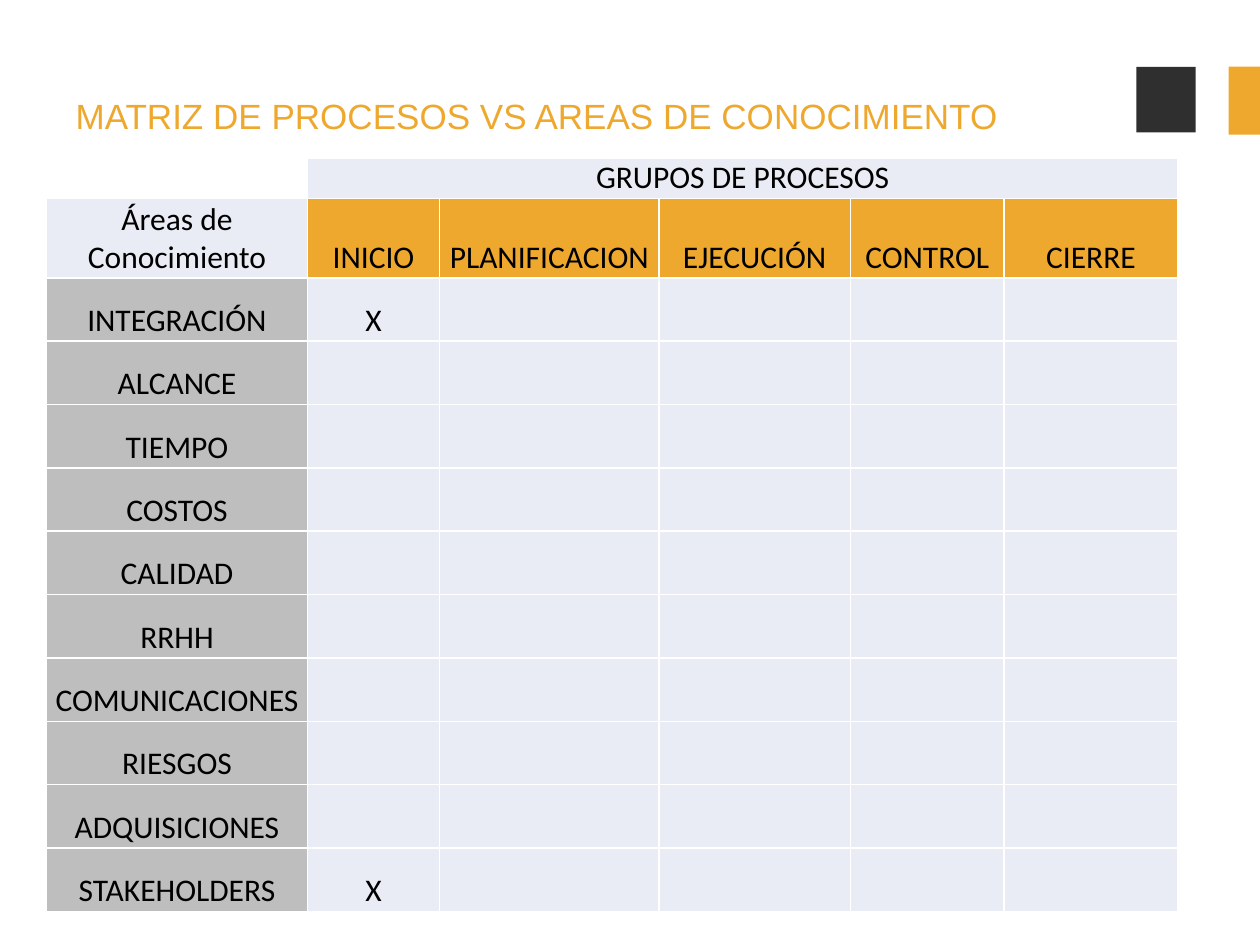
from lxml import etree
from pptx import Presentation
from pptx.dml.color import RGBColor
from pptx.enum.shapes import MSO_SHAPE
from pptx.enum.text import MSO_ANCHOR, PP_ALIGN
from pptx.oxml.ns import qn
from pptx.util import Inches, Pt

COLORS = {"accent": "EEA82E", "label": "BEBEBE", "cell": "E9ECF4",
          "logo": "2F2F2F", "text": "000000", "border": "FFFFFF"}
GROUPS = ["INICIO", "PLANIFICACION", "EJECUCIÓN", "CONTROL", "CIERRE"]
AREAS = ["INTEGRACIÓN", "ALCANCE", "TIEMPO", "COSTOS", "CALIDAD", "RRHH",
         "COMUNICACIONES", "RIESGOS", "ADQUISICIONES", "STAKEHOLDERS"]
MARKED = {("INTEGRACIÓN", "INICIO"), ("STAKEHOLDERS", "INICIO")}


def rgb(name):
    return RGBColor.from_string(COLORS[name])


def format_cell(cell, text="", fill=None):
    """Fill, text and white borders of one table cell."""
    cell.margin_left = cell.margin_right = cell.margin_top = 0
    cell.margin_bottom = Inches(0.01)
    cell.vertical_anchor = MSO_ANCHOR.BOTTOM
    cell.text = text
    for p in cell.text_frame.paragraphs:
        p.alignment = PP_ALIGN.CENTER
        p.font.size = Pt(18)
        p.font.name = "Calibri"
        p.font.color.rgb = rgb("text")
        p.line_spacing = Pt(21.6)
    tcPr = cell._tc.get_or_add_tcPr()
    for side in ("a:lnL", "a:lnR", "a:lnT", "a:lnB"):
        ln = etree.SubElement(tcPr, qn(side), w=str(Pt(1)))
        solid = etree.SubElement(ln, qn("a:solidFill"))
        etree.SubElement(solid, qn("a:srgbClr"), val=COLORS["border"])
    if fill:
        cell.fill.solid()
        cell.fill.fore_color.rgb = rgb(fill)
    else:
        cell.fill.background()


prs = Presentation()
prs.slide_width, prs.slide_height = Inches(10), Inches(7.5)
s = prs.slides.add_slide(prs.slide_layouts[5])

# Logo placeholder and accent block at the top right
for left, top, width, height, color in [(9.02, 0.53, 0.47, 0.52, "logo"),
                                        (9.75, 0.53, 0.25, 0.54, "accent")]:
    sp = s.shapes.add_shape(MSO_SHAPE.RECTANGLE, Inches(left), Inches(top),
                            Inches(width), Inches(height))
    sp.shadow.inherit = False
    sp.fill.solid()
    sp.fill.fore_color.rgb = rgb(color)
    sp.line.fill.background()

# Title
title = s.shapes.title
title.left, title.top = Inches(0.59), Inches(0.74)
title.width, title.height = Inches(7.34), Inches(0.36)
tf = title.text_frame
tf.margin_left = tf.margin_top = Inches(0.01)
tf.margin_right = tf.margin_bottom = 0
tf.vertical_anchor = MSO_ANCHOR.TOP
tf.text = "MATRIZ DE PROCESOS VS AREAS DE CONOCIMIENTO"
p = tf.paragraphs[0]
p.alignment = PP_ALIGN.LEFT
p.space_before = Pt(1)
p.font.size = Pt(20)
p.font.name = "Arial"
p.font.color.rgb = rgb("accent")

# Matrix grid
col_widths = [2.07, 1.05, 1.74, 1.52, 1.22, 1.38]
row_heights = [0.31, 0.63] + [5.03 / len(AREAS)] * len(AREAS)
frame = s.shapes.add_table(len(row_heights), len(col_widths),
                           Inches(0.37), Inches(1.26),
                           Inches(sum(col_widths)), Inches(sum(row_heights)))
table = frame.table
table.first_row = table.horz_banding = False
for column, width in zip(table.columns, col_widths):
    column.width = Inches(width)
for row, height in zip(table.rows, row_heights):
    row.height = Inches(height)

# Header rows
format_cell(table.cell(0, 0))
for c, group in enumerate(GROUPS, 1):
    format_cell(table.cell(0, c), fill="cell")
    format_cell(table.cell(1, c), group, "accent")
table.cell(0, 1).merge(table.cell(0, len(GROUPS)))
format_cell(table.cell(0, 1), "GRUPOS DE PROCESOS", "cell")
format_cell(table.cell(1, 0), "Áreas de\nConocimiento", "cell")

# One row per knowledge area
for r, area in enumerate(AREAS, 2):
    format_cell(table.cell(r, 0), area, "label")
    for c, group in enumerate(GROUPS, 1):
        format_cell(table.cell(r, c), "X" if (area, group) in MARKED else "", "cell")

prs.save("out.pptx")
